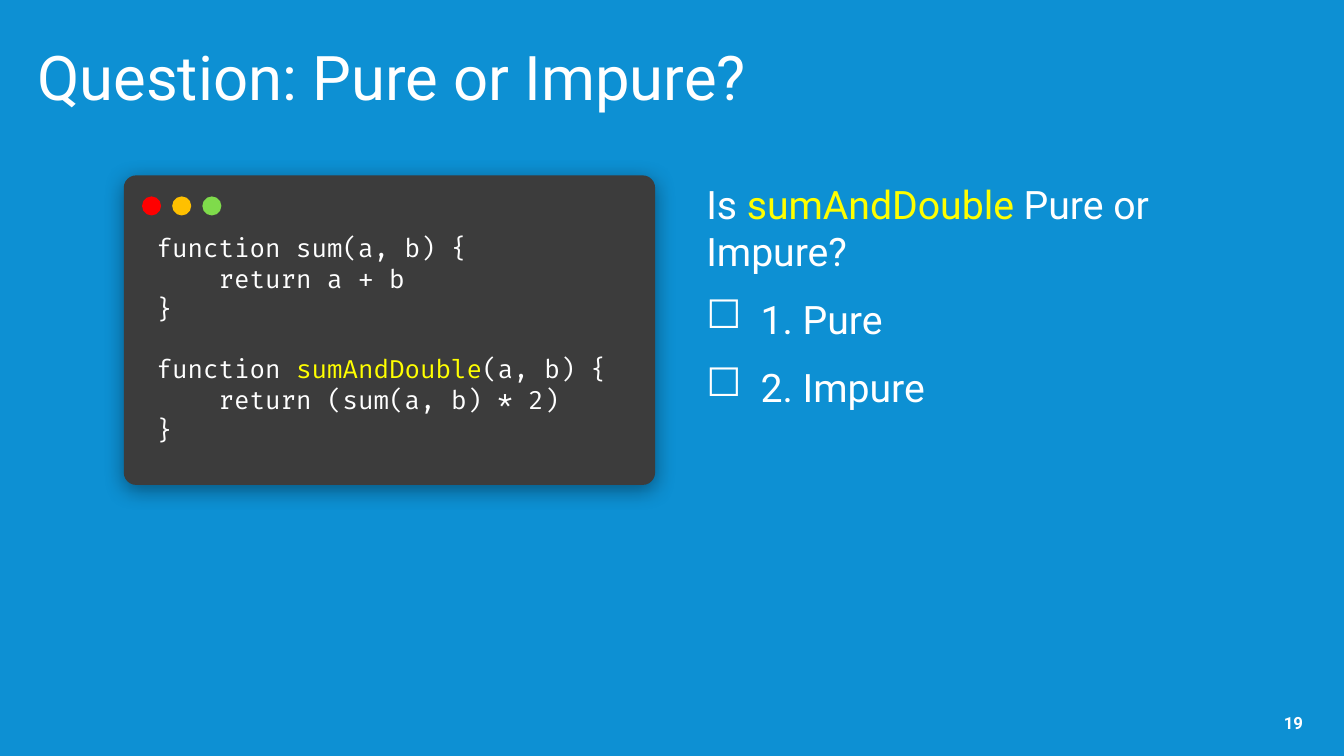
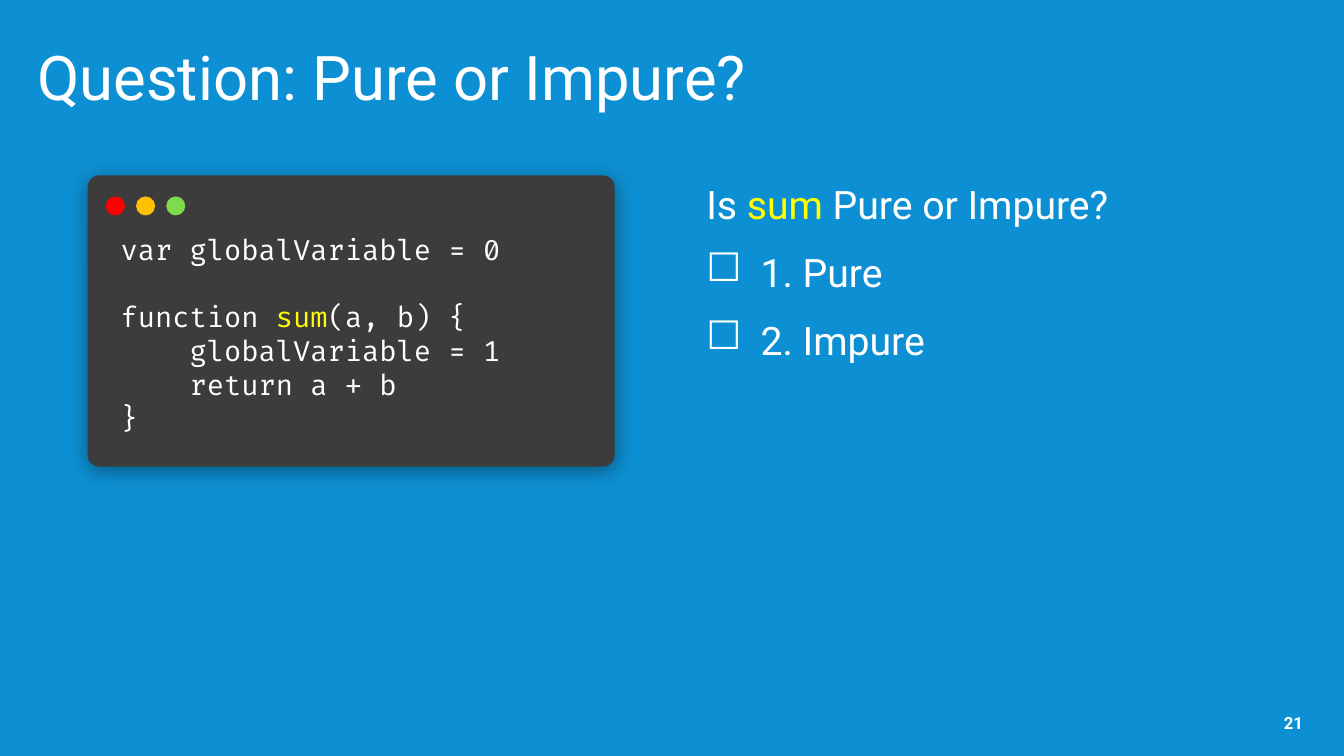
from lxml import etree
from pptx import Presentation
from pptx.dml.color import RGBColor
from pptx.enum import shapes, text
from pptx.oxml import ns
from pptx.util import Cm, Pt

COLORS = {
    "background": "0D90D3", "window": "3C3C3C", "text": "FFFFFF",
    "highlight": "FFFF00", "close": "FF0000", "minimise": "FFC000",
    "zoom": "7FDB4B", "shadow": "000000",
}
TITLE_FONT = {"name": "Roboto", "size": Pt(44)}
QUESTION_FONT = {"name": "Roboto", "size": Pt(28)}
NUMBER_FONT = {"name": "Roboto", "size": Pt(12), "bold": True}
CODE_FONT = "Fira Code"
CODE_LINE = 1.2  # line height per point of code size
CONTENT_TOP = 4.42
MARGIN_NAMES = ("margin_left", "margin_top", "margin_right", "margin_bottom")

TITLE = "Question: Pure or Impure?"
ANSWERS = ("1. Pure", "2. Impure")
SLIDES = [
    {"number": "19", "function": "sumAndDouble",
     "window": (3.12, 13.39, 7.8), "code_size": 18,
     "code": """function sum(a, b) {
    return a + b
}

function sumAndDouble(a, b) {
    return (sum(a, b) * 2)
}"""},
    {"number": "21", "function": "sum",
     "window": (2.21, 13.28, 7.34), "code_size": 20,
     "code": """var globalVariable = 0

function sum(a, b) {
    globalVariable = 1
    return a + b
}"""},
]


def rgb(color):
    return RGBColor.from_string(COLORS[color])


def apply(target, values):
    for name, value in values.items():
        setattr(target, name, value)


def box(left, top, width, height):
    return [Cm(length) for length in (left, top, width, height)]


def add_run(paragraph, content, font, color="text"):
    run = paragraph.add_run()
    run.text = content
    apply(run.font, font)
    run.font.color.rgb = rgb(color)


def add_marked(paragraph, content, marked, font):
    """Write a line with the function name highlighted."""
    before, name, after = content.partition(marked)
    for part, color in ((before, "text"), (name, "highlight"), (after, "text")):
        if part:
            add_run(paragraph, part, font, color)


def next_paragraph(frame, index):
    return frame.add_paragraph() if index else frame.paragraphs[0]


def add_text_frame(parent, place):
    frame = parent.add_textbox(*place).text_frame
    frame.word_wrap = True
    return frame


def add_filled(group, kind, place, color):
    shape = group.add_shape(kind, *place)
    shape.shadow.inherit = False
    shape.fill.solid()
    shape.fill.fore_color.rgb = rgb(color)
    shape.line.fill.background()
    return shape


def add_drop_shadow(shape):
    effects = shape.element.spPr.find(ns.qn("a:effectLst"))
    shadow = etree.SubElement(
        effects, ns.qn("a:outerShdw"), blurRad=str(Pt(15)), dist=str(Pt(3)),
        dir="5400000", algn="t", rotWithShape="0")
    tint = etree.SubElement(shadow, ns.qn("a:srgbClr"), val=COLORS["shadow"])
    etree.SubElement(tint, ns.qn("a:alpha"), val="40000")


def add_title(slide):
    title = slide.shapes.title
    apply(title, dict(zip(("left", "top", "width", "height"),
                          box(0.94, 0.86, 32, 2.08))))
    frame = title.text_frame
    apply(frame, dict.fromkeys(MARGIN_NAMES, 0))
    apply(frame, {"vertical_anchor": text.MSO_ANCHOR.MIDDLE, "word_wrap": True,
                  "auto_size": text.MSO_AUTO_SIZE.NONE})
    frame.paragraphs[0].alignment = text.PP_ALIGN.LEFT
    add_run(frame.paragraphs[0], TITLE, TITLE_FONT)


def add_slide_number(slide, number):
    frame = add_text_frame(slide.shapes, box(30.84, 17.83, 2.13, 0.79))
    apply(frame, dict.fromkeys(MARGIN_NAMES, Cm(0.13)))
    frame.vertical_anchor = text.MSO_ANCHOR.MIDDLE
    frame.paragraphs[0].alignment = text.PP_ALIGN.RIGHT
    add_run(frame.paragraphs[0], number, NUMBER_FONT)


def add_code_window(slide, content):
    left, width, height = content["window"]
    group = slide.shapes.add_group_shape().shapes
    window = add_filled(group, shapes.MSO_SHAPE.ROUNDED_RECTANGLE,
                        box(left, CONTENT_TOP, width, height), "window")
    window.adjustments[0] = 0.04
    add_drop_shadow(window)

    # Window buttons
    for index, button in enumerate(("close", "minimise", "zoom")):
        add_filled(group, shapes.MSO_SHAPE.OVAL,
                   box(left + 0.46 + 0.76 * index, CONTENT_TOP + 0.53,
                       0.48, 0.48), button)

    # Code, with a line of space before each later block
    frame = add_text_frame(
        group, box(left + 0.58, CONTENT_TOP + 1.32, width - 0.58, height - 2))
    size = content["code_size"]
    font = {"name": CODE_FONT, "size": Pt(size)}
    count = 0
    for block in content["code"].split("\n\n"):
        for row, line in enumerate(block.split("\n")):
            paragraph = next_paragraph(frame, count)
            if count and row == 0:
                paragraph.space_before = Pt(CODE_LINE * size)
            add_marked(paragraph, line, content["function"], font)
            count += 1


def add_checkbox(paragraph):
    properties = paragraph._p.get_or_add_pPr()
    indent = Cm(1.37)
    properties.set("marL", str(indent))
    properties.set("indent", str(-indent))
    etree.SubElement(properties, ns.qn("a:buChar"), char="☐")


def add_question(slide, function):
    frame = add_text_frame(slide.shapes, box(17.55, CONTENT_TOP, 15.39, 6.81))
    lines = (f"Is {function} Pure or Impure?", *ANSWERS)
    for index, line in enumerate(lines):
        paragraph = next_paragraph(frame, index)
        if index:
            add_checkbox(paragraph)
        paragraph.space_after = Pt(15)
        add_marked(paragraph, line, function, QUESTION_FONT)


def main():
    deck = Presentation()
    apply(deck, {"slide_width": Cm(33.87), "slide_height": Cm(19.05)})
    backdrop = deck.slide_master.background.fill
    backdrop.solid()
    backdrop.fore_color.rgb = rgb("background")
    title_only = deck.slide_layouts.get_by_name("Title Only")
    for content in SLIDES:
        slide = deck.slides.add_slide(title_only)
        add_title(slide)
        add_code_window(slide, content)
        add_question(slide, content["function"])
        add_slide_number(slide, content["number"])
    deck.save("out.pptx")


if __name__ == "__main__":
    main()
